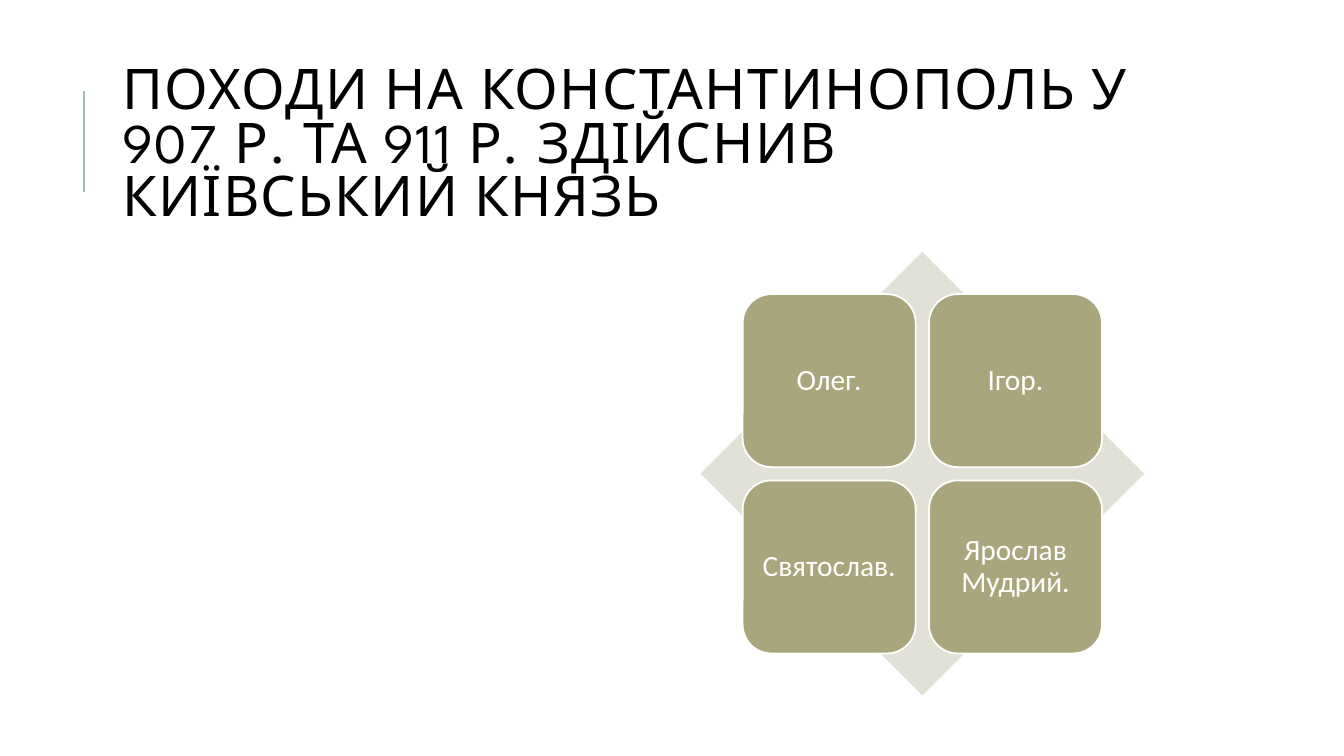
from lxml.etree import SubElement
from pptx import Presentation
from pptx.dml.color import RGBColor
from pptx.enum.shapes import MSO_CONNECTOR as Connector, MSO_SHAPE as Shape
from pptx.enum.text import MSO_ANCHOR as Anchor, PP_ALIGN as Align
from pptx.oxml.ns import qn
from pptx.util import Pt

COLORS = {"title": "000000", "accent": "9CBEBD", "diamond": "E2E1D7",
          "tile": "A9A57C", "white": "FFFFFF"}


def color(name):
    return RGBColor.from_string(COLORS[name])


def write(box, text, font, size, ink, align=Align.LEFT, leading=1.0, tracking=0, inset=(7.2, 3.6)):
    frame = box.text_frame
    frame.word_wrap = True
    frame.vertical_anchor = Anchor.MIDDLE
    frame.margin_left = frame.margin_right = Pt(inset[0])
    frame.margin_top = frame.margin_bottom = Pt(inset[1])
    para = frame.paragraphs[0]
    para.alignment, para.line_spacing = align, leading
    span = para.add_run()
    span.text = text
    span.font.name, span.font.size = font, Pt(size)
    span.font.color.rgb = color(ink)
    if tracking:
        span.font._element.set("spc", str(tracking * 100))


class Page:
    """Holds the current slide and its fonts."""

    heading_font = "League Spartan"
    body_font = "Calibri"

    def __init__(self, deck):
        self.shapes = deck.slides.add_slide(deck.slide_layouts[6]).shapes

    def rule(self, x, top, bottom):
        line = self.shapes.add_connector(Connector.STRAIGHT, Pt(x), Pt(bottom), Pt(x), Pt(top))
        line.line.color.rgb = color("accent")
        line.line.width = Pt(1.5)
        SubElement(line._element.spPr, qn("a:effectLst"))

    def title(self, text, x, y, width, height):
        box = self.shapes.add_textbox(Pt(x), Pt(y), Pt(width), Pt(height))
        write(box, text, self.heading_font, 40, "title", leading=0.8, tracking=1)

    def block(self, kind, x, y, side, fill):
        block = self.shapes.add_shape(kind, Pt(x), Pt(y), Pt(side), Pt(side))
        block.shadow.inherit = False
        block.fill.solid()
        block.fill.fore_color.rgb = color(fill)
        block.line.fill.background()
        return block

    def tile(self, text, x, y, side):
        tile = self.block(Shape.ROUNDED_RECTANGLE, x, y, side, "tile")
        tile.line.color.rgb = color("white")
        tile.line.width = Pt(1.25)
        write(tile, text, self.body_font, 21, "white", Align.CENTER, 0.9, inset=(6.5, 6.5))


def main():
    deck = Presentation()
    deck.slide_width, deck.slide_height = Pt(960), Pt(540)
    page = Page(deck)

    # Heading with its accent rule
    page.rule(60, 65, 137)
    page.title("ПОХОДИ НА КОНСТАНТИНОПОЛЬ У 907 Р. ТА 911 Р. ЗДІЙСНИВ КИЇВСЬКИЙ КНЯЗЬ",
               80.6, 46, 765.4, 118)

    # Four princes over a diamond
    page.block(Shape.DIAMOND, 500.4, 180, 316.8, "diamond")
    princes = ["Олег.", "Ігор.", "Святослав.", "Ярослав Мудрий."]
    left, top, side, step = 530.5, 210.1, 123.6, 133.1
    for index, prince in enumerate(princes):
        row, column = divmod(index, 2)
        page.tile(prince, left + column * step, top + row * step, side)

    deck.save("out.pptx")


if __name__ == "__main__":
    main()
